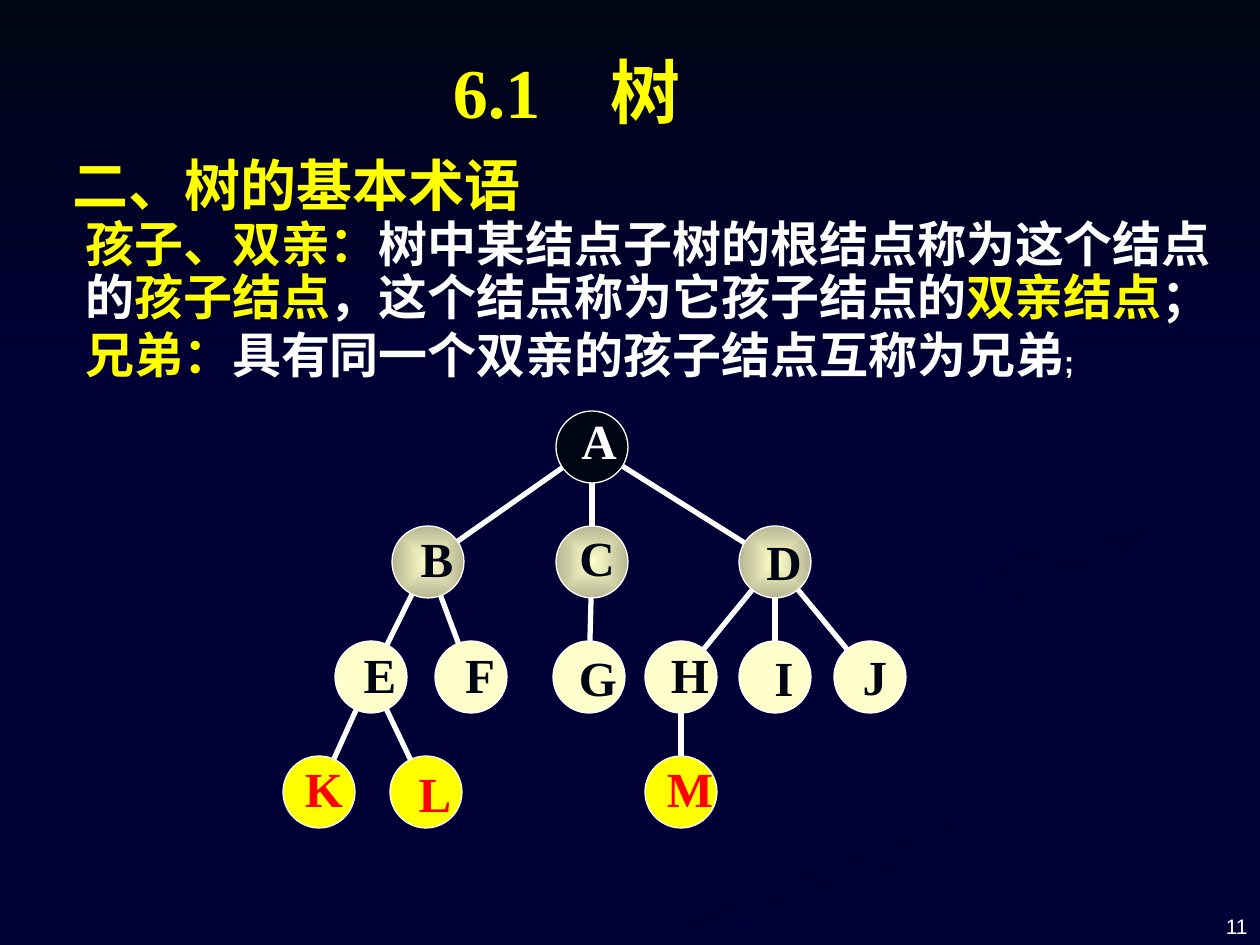
"""Build the slide on basic tree terminology, with a sample tree from A to M."""
from dataclasses import dataclass
from math import hypot

from lxml import etree
from pptx import Presentation
from pptx.dml.color import RGBColor
from pptx.enum.shapes import MSO_CONNECTOR, MSO_SHAPE
from pptx.enum.text import MSO_ANCHOR, PP_ALIGN
from pptx.oxml.ns import qn
from pptx.util import Pt

SCALE = 914400 / 126
ELLIPSE, RECTANGLE = MSO_SHAPE.OVAL, MSO_SHAPE.RECTANGLE
STRAIGHT = MSO_CONNECTOR.STRAIGHT
LEFT, CENTER, RIGHT = PP_ALIGN.LEFT, PP_ALIGN.CENTER, PP_ALIGN.RIGHT
TOP, BOTTOM = MSO_ANCHOR.TOP, MSO_ANCHOR.BOTTOM
NAVY, INK, WHITE, YELLOW, RED = "000036", "000514", "FFFFFF", "FFFF00", "FF0000"
CREAM, OLIVE = "FFFFCC", "B6B692"
CJK, SERIF, SANS = "Noto Sans CJK SC", "Times New Roman", "Arial"
RADIUS, LABEL_HEIGHT = 36, 72
FIRST_LEVEL, LEVEL_GAP = 447, 115


@dataclass
class Span:
    """A stretch of text in one format."""
    text: str
    color: str
    size: int = 28
    font: str = CJK
    bold: bool = True


@dataclass
class Level:
    """The look shared by the nodes of one tree level."""
    fill: tuple[str, ...]
    ink: str


@dataclass
class Node:
    """A tree node: centre, level, parent, and shift of its label."""
    name: str
    x: int
    level: int
    parent: str = ""
    shift: int = 4
    drop: int = 1
    label_width: int = 60

    @property
    def y(self) -> int:
        """Return the height of the centre, given by the level."""
        return FIRST_LEVEL + self.level * LEVEL_GAP


LEVELS = [
    Level((INK,), WHITE),
    Level((CREAM, OLIVE), INK),
    Level((CREAM,), INK),
    Level((YELLOW,), RED),
]
NODES = [
    Node("A", 592, 0, shift=2, drop=-3),
    Node("B", 428, 1, "A", drop=0),
    Node("C", 592, 1, "A", shift=0, drop=-1),
    Node("D", 775, 1, "A", drop=3),
    Node("E", 371, 2, "B"),
    Node("F", 471, 2, "B"),
    Node("G", 589, 2, "C", drop=4),
    Node("H", 681, 2, "D"),
    Node("I", 775, 2, "D", drop=4),
    Node("J", 870, 2, "D", shift=0, drop=3),
    Node("K", 319, 3, "E", shift=0, drop=0),
    Node("L", 426, 3, "E", drop=5),
    Node("M", 681, 3, "H", drop=0, label_width=72),
]
SWOOSHES = [
    [(1002, 714), (918, 673), (726, 605), (748, 611), (978, 697), (983, 729), (730, 805)],
    [(634, 944), (818, 895), (1257, 767), (1257, 732), (963, 815), (755, 890)],
    [(984, 580), (1041, 620), (1023, 582), (1257, 529), (1257, 507), (1021, 551)],
]
DEFINITIONS = [
    [Span("孩子、双亲：", YELLOW), Span("树中某结点子树的根结点称为这个结点的", WHITE),
     Span("孩子结点", YELLOW), Span("，这个结点称为它孩子结点的", WHITE),
     Span("双亲结点", YELLOW), Span("；", WHITE)],
    [Span("兄弟：", YELLOW), Span("具有同一个双亲的孩子结点互称为兄弟", WHITE),
     Span(";", WHITE, 18, SANS)],
]


def px(*lengths: float) -> list[int]:
    """Turn pixels into EMU."""
    return [round(length * SCALE) for length in lengths]


def rgb(color: str) -> RGBColor:
    """Turn a hex string into a colour."""
    return RGBColor.from_string(color)


def paint(shape, colors: tuple[str, ...], angle: int = 0, radial: bool = False) -> None:
    """Fill a shape with one colour or a gradient, without outline or shadow."""
    shape.shadow.inherit = False
    shape.line.fill.background()
    if len(colors) == 1:
        shape.fill.solid()
        shape.fill.fore_color.rgb = rgb(colors[0])
        return
    shape.fill.gradient()
    shape.fill.gradient_angle = angle
    for stop, color in zip(shape.fill.gradient_stops, colors):
        stop.color.rgb = rgb(color)
    if radial:
        linear = next(shape._element.iter(qn("a:lin")))
        ring = etree.Element(qn("a:path"), path="shape")
        etree.SubElement(ring, qn("a:fillToRect"), dict.fromkeys("ltrb", "50000"))
        linear.getparent().replace(linear, ring)


def write(box, lines: list[list[Span]], align=LEFT, anchor=TOP) -> None:
    """Fill a box with formatted paragraphs."""
    frame = box.text_frame
    frame.word_wrap = True
    frame.vertical_anchor = anchor
    frame.text = "\n".join("" for _ in lines)
    for para, spans in zip(frame.paragraphs, lines):
        para.alignment = align
        for span in spans:
            run = para.add_run()
            run.text = span.text
            run.font.size, run.font.bold, run.font.name = Pt(span.size), span.bold, span.font
            run.font.color.rgb = rgb(span.color)
            etree.SubElement(run._r.get_or_add_rPr(), qn("a:ea"), typeface=CJK)


def draw_edge(tree, parent: Node, child: Node) -> None:
    """Draw the white edge between the rims of two nodes."""
    across, down = child.x - parent.x, child.y - parent.y
    part = RADIUS / hypot(across, down)
    edge = tree.shapes.add_connector(STRAIGHT, *px(
        parent.x + across * part, parent.y + down * part,
        child.x - across * part, child.y - down * part))
    edge.line.color.rgb = rgb(WHITE)
    edge.line.width = Pt(3)
    etree.SubElement(edge._element.spPr, qn("a:effectLst"))


def draw_circle(tree, node: Node) -> None:
    """Draw the circle of a node."""
    circle = tree.shapes.add_shape(
        ELLIPSE, *px(node.x - RADIUS, node.y - RADIUS, 2 * RADIUS, 2 * RADIUS))
    paint(circle, LEVELS[node.level].fill, radial=True)
    circle.line.color.rgb = rgb(WHITE)
    circle.line.width = Pt(0.75)


def draw_label(tree, node: Node) -> None:
    """Write the letter of a node."""
    left = node.x + node.shift - node.label_width / 2
    box = tree.shapes.add_textbox(
        *px(left, node.y - RADIUS + node.drop, node.label_width, LABEL_HEIGHT))
    frame = box.text_frame
    frame.margin_left, frame.margin_top, frame.margin_right, frame.margin_bottom = px(15, 3, 5, 5)
    write(box, [[Span(node.name, LEVELS[node.level].ink, font=SERIF)]], CENTER)


def draw_swoosh(backdrop, points: list[tuple[int, int]]) -> None:
    """Draw one faint band of the backdrop."""
    builder = backdrop.shapes.build_freeform(*points[0], scale=SCALE)
    builder.add_line_segments(points[1:], close=True)
    paint(builder.convert_to_shape(), ("000032", NAVY), 315)


def main() -> None:
    """Build and save the deck."""
    deck = Presentation()
    deck.slide_width, deck.slide_height = px(1260, 945)
    page = deck.slides.add_slide(deck.slide_layouts[5])
    page.background.fill.solid()
    page.background.fill.fore_color.rgb = rgb(NAVY)

    backdrop = page.shapes.add_group_shape()
    for points in SWOOSHES:
        draw_swoosh(backdrop, points)
    paint(backdrop.shapes.add_shape(RECTANGLE, *px(0, 0, 1260, 388)), (INK, NAVY), 270)

    number = page.shapes.add_textbox(*px(966, 879, 294, 66))
    write(number, [[Span("11", WHITE, 12, SANS, False)]], RIGHT, BOTTOM)
    body = page.shapes.add_textbox(*px(73, 214, 1169, 178))
    write(body, DEFINITIONS)
    for para in body.text_frame.paragraphs:
        para.line_spacing = 0.9
    body.text_frame.paragraphs[1].space_before = Pt(2.8)

    title = page.shapes.title
    title.left, title.top, title.width, title.height = px(262, 42, 609, 97)
    write(title, [[Span("6.1　树", YELLOW, 40, SERIF)]], CENTER)
    page.shapes._spTree.append(title._element)
    heading = page.shapes.add_textbox(*px(60, 144, 546, 79))
    write(heading, [[Span("二、树的基本术语", YELLOW, 32, SANS)]])

    tree = page.shapes.add_group_shape()
    by_name = {node.name: node for node in NODES}
    for node in NODES:
        if node.parent:
            draw_edge(tree, by_name[node.parent], node)
    for draw in (draw_circle, draw_label):
        for node in NODES:
            draw(tree, node)
    deck.save("out.pptx")


if __name__ == "__main__":
    main()
